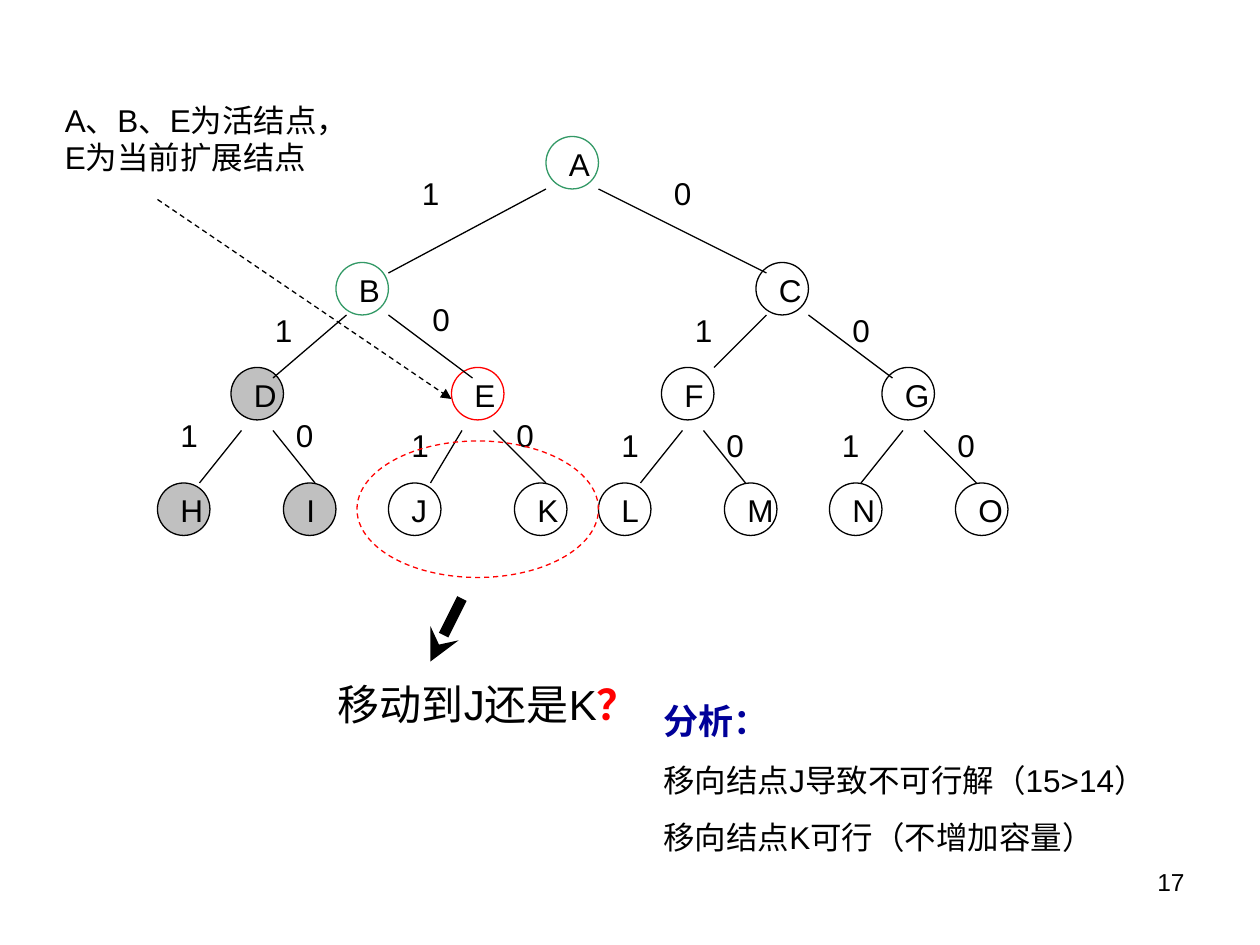
import pptx
import pptx.dml.color
import pptx.enum.dml
import pptx.enum.shapes
import pptx.enum.text
import pptx.oxml
import pptx.oxml.ns
import pptx.util
from pptx.util import Cm

COLORS = {"ink": "000000", "live": "339966", "current": "FF0000",
          "visited": "C0C0C0", "heading": "000099"}
UNIT = 2.54 / 12  # drawing grid step in cm
NODE_SIZE = 5
DASH = pptx.enum.dml.MSO_LINE.DASH


def grid(*steps):
    return [Cm(step * UNIT) for step in steps]


def color(name):
    return pptx.dml.color.RGBColor.from_string(COLORS[name])


class TreeSlide:
    """Holds the text style and the slide being drawn."""

    def __init__(self, slide, font="Arial", size=18):
        self.shapes = slide.shapes
        self.font = font
        self.size = size

    def style_line(self, line, tint, width=0.75, dash=None):
        line.color.rgb = color(tint)
        for key, value in {"width": pptx.util.Pt(width), "dash_style": dash}.items():
            setattr(line, key, value)

    def text(self, box, paragraphs, align="LEFT", gap=0):
        """Each paragraph is a list of (text, format) runs."""
        frame = self.shapes.add_textbox(*grid(*box)).text_frame
        frame.word_wrap = True
        for index, runs in enumerate(paragraphs):
            paragraph = frame.paragraphs[0] if index == 0 else frame.add_paragraph()
            paragraph.alignment = getattr(pptx.enum.text.PP_ALIGN, align)
            if index:
                paragraph.space_before = pptx.util.Pt(gap)
            for words, changes in runs:
                run = paragraph.add_run()
                run.text = words
                look = {"size": self.size, "bold": False, "tint": "ink", **changes}
                run.font.color.rgb = color(look["tint"])
                values = {"name": self.font, "size": pptx.util.Pt(look["size"]),
                          "bold": look["bold"]}
                for key, value in values.items():
                    setattr(run.font, key, value)

    def ellipse(self, box, tint="ink", fill=None, dash=None):
        oval = self.shapes.add_shape(pptx.enum.shapes.MSO_SHAPE.OVAL, *grid(*box))
        oval.shadow.inherit = False
        if fill:
            oval.fill.solid()
            oval.fill.fore_color.rgb = color(fill)
        else:
            oval.fill.background()
        self.style_line(oval.line, tint, dash=dash)

    def node(self, letter, left, top, tint="ink", fill=None):
        self.ellipse((left, top, NODE_SIZE, NODE_SIZE), tint, fill)
        self.label(letter, left + 1, top + 0.2)

    def label(self, words, left, top):
        self.text((left, top, 5, 4.8), [[(words, {})]])

    def line(self, start, end, width=0.75, dash=None, head=None):
        connector = self.shapes.add_connector(
            pptx.enum.shapes.MSO_CONNECTOR.STRAIGHT, *grid(*start, *end))
        self.style_line(connector.line, "ink", width, dash)
        properties = connector.element.spPr
        if head:
            tail = pptx.oxml.parse_xml(
                f'<a:tailEnd {pptx.oxml.ns.nsdecls("a")} type="{head}"/>')
            connector.line._get_or_add_ln().append(tail)
        properties.append(pptx.oxml.parse_xml(
            f'<a:effectLst {pptx.oxml.ns.nsdecls("a")}/>'))


# Levels of the tree: top, then each letter with its left edge
LEVELS = [
    (13, {"A": 52}),
    (25, {"B": 32, "C": 72}),
    (35, {"D": 22, "E": 43, "F": 63, "G": 84}),
    (46, {"H": 15, "I": 27, "J": 37, "K": 49, "L": 57, "M": 69, "N": 79, "O": 91}),
]
NODE_LOOKS = {
    **dict.fromkeys("AB", {"tint": "live"}),
    **dict.fromkeys("DHI", {"fill": "visited"}),
    "E": {"tint": "current"},
}
# Branches: start, end, label corner; left (1) and right (0) take turns
BRANCHES = [
    ((52, 18), (37, 26), (39, 16)), ((57, 18), (73, 26), (63, 16)),  # A
    ((33, 30), (26, 36), (25, 29)), ((37, 30), (45, 36), (40, 28)),  # B
    ((73, 30), (68, 35), (65, 29)), ((77, 30), (85, 36), (80, 29)),  # C
    ((23, 41), (19, 46), (16, 39)), ((26, 41), (30, 46), (27, 39)),  # D
    ((44, 41), (41, 46), (38, 40)), ((47, 41), (52, 46), (48, 39)),  # E
    ((65, 41), (61, 46), (58, 40)), ((67, 41), (71, 46), (68, 40)),  # F
    ((86, 41), (82, 46), (79, 40)), ((88, 41), (93, 46), (90, 40)),  # G
]


def main():
    deck = pptx.Presentation()
    deck.slide_width, deck.slide_height = Cm(25.4), Cm(19.05)
    tree = TreeSlide(deck.slides.add_slide(deck.slide_layouts[6]))

    # Slide number
    tree.text((86, 82, 28, 6.2), [[("17", {"size": 14})]], align="RIGHT")

    # Nodes
    for top, letters in LEVELS:
        for letter, left in letters.items():
            tree.node(letter, left, top, **NODE_LOOKS.get(letter, {}))

    # Branches and their choices
    for index, (start, end, corner) in enumerate(BRANCHES):
        tree.line(start, end)
        tree.label("0" if index % 2 else "1", *corner)

    # Note on the live nodes
    tree.line((15, 19), (43, 38), dash=DASH, head="triangle")
    tree.text((5, 9, 30, 8.4), [[("A、B、E为活结点，E为当前扩展结点", {})]])

    # Question about the next move
    tree.ellipse((34, 42, 23, 13), "current", dash=DASH)
    tree.line((44, 57), (41, 63), width=6, head="stealth")
    tree.text((31, 64, 33, 6), [[
        ("移动到J还是K", {"size": 24}),
        ("？", {"size": 24, "bold": True, "tint": "current"})]])

    # Analysis
    tree.text((62, 66, 50, 19.8), [
        [("分析：", {"size": 20, "bold": True, "tint": "heading"})],
        [("移向结点J导致不可行解（15>14）", {})],
        [("移向结点K可行（不增加容量）", {})],
    ], gap=11.2)

    deck.save("out.pptx")


if __name__ == "__main__":
    main()
